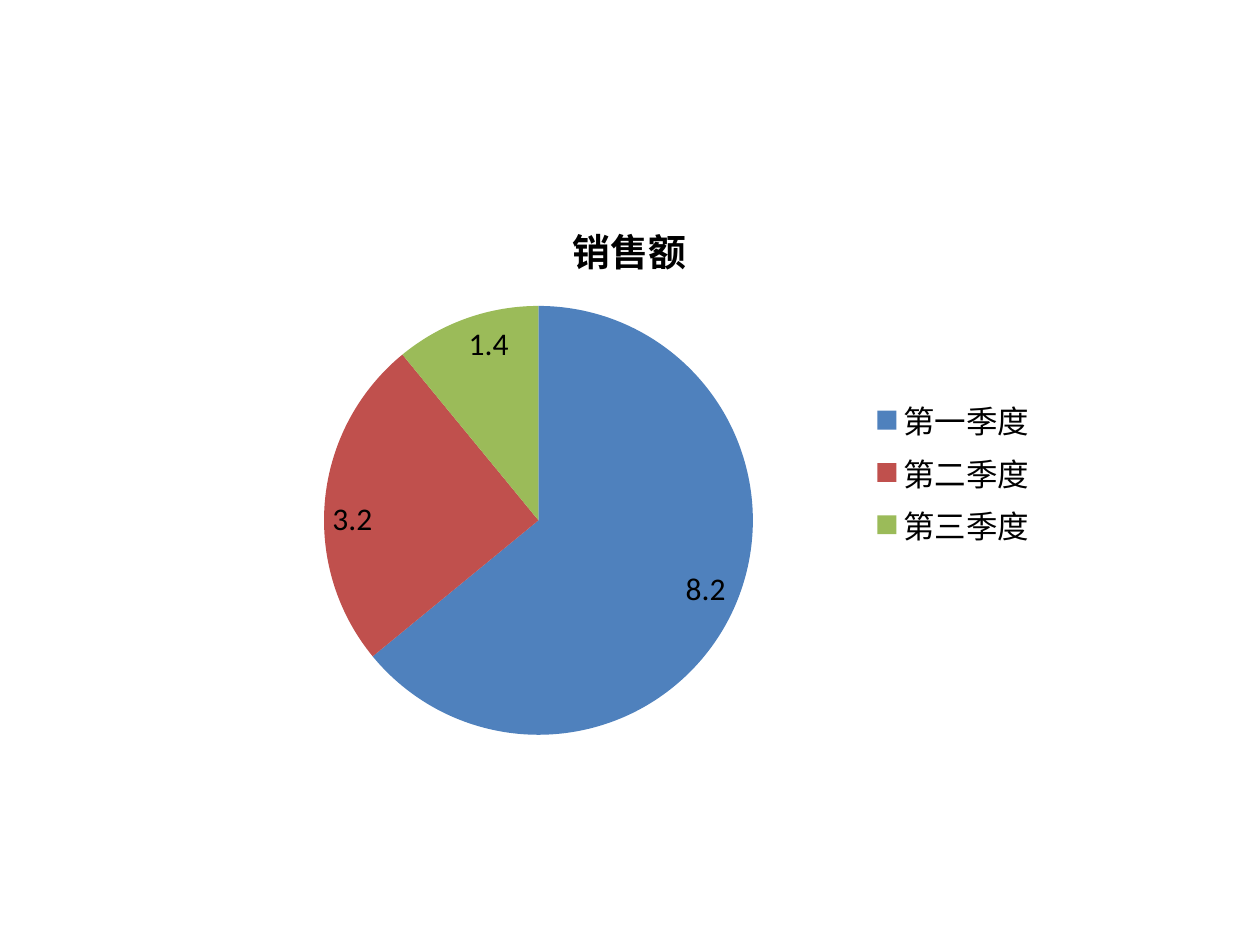
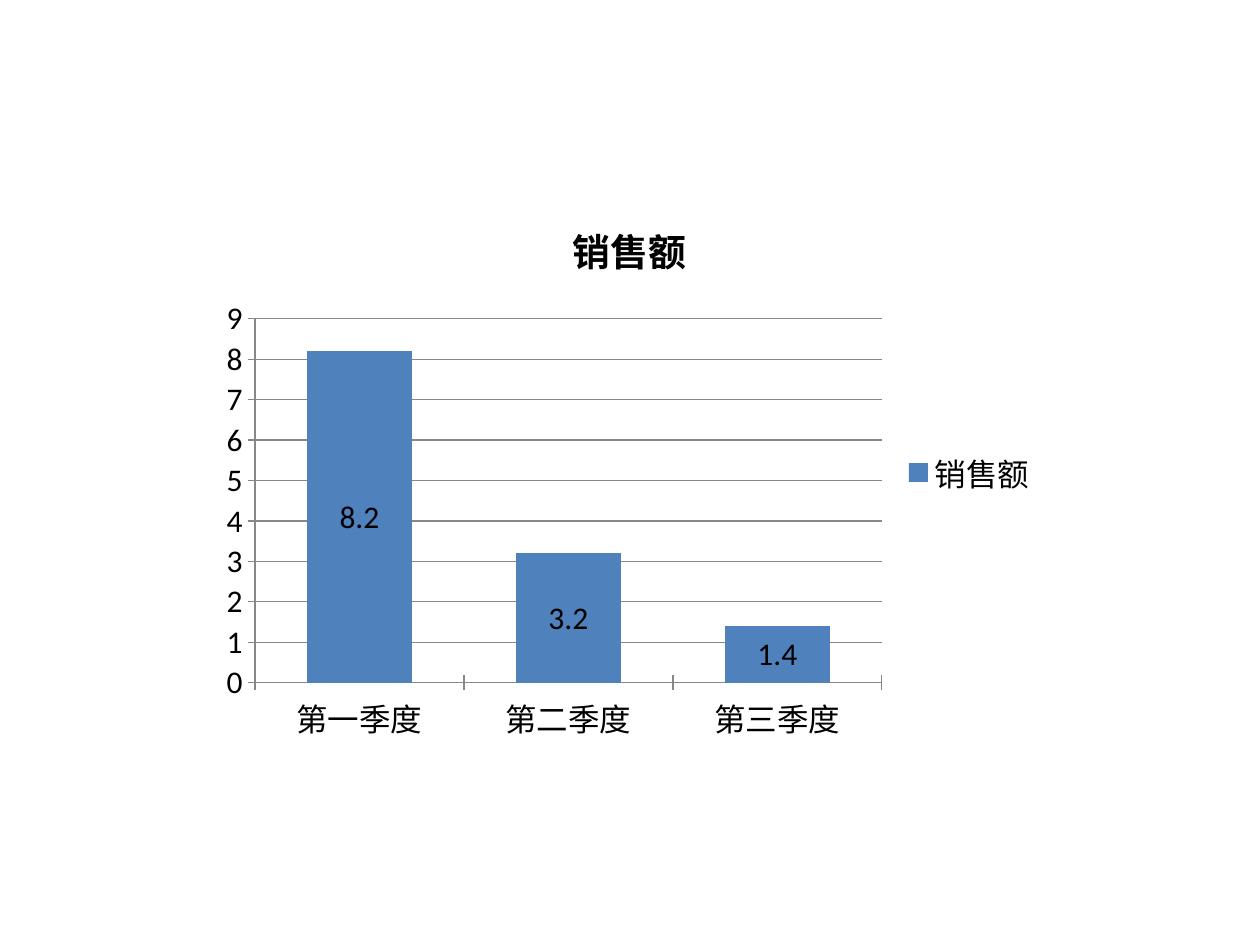
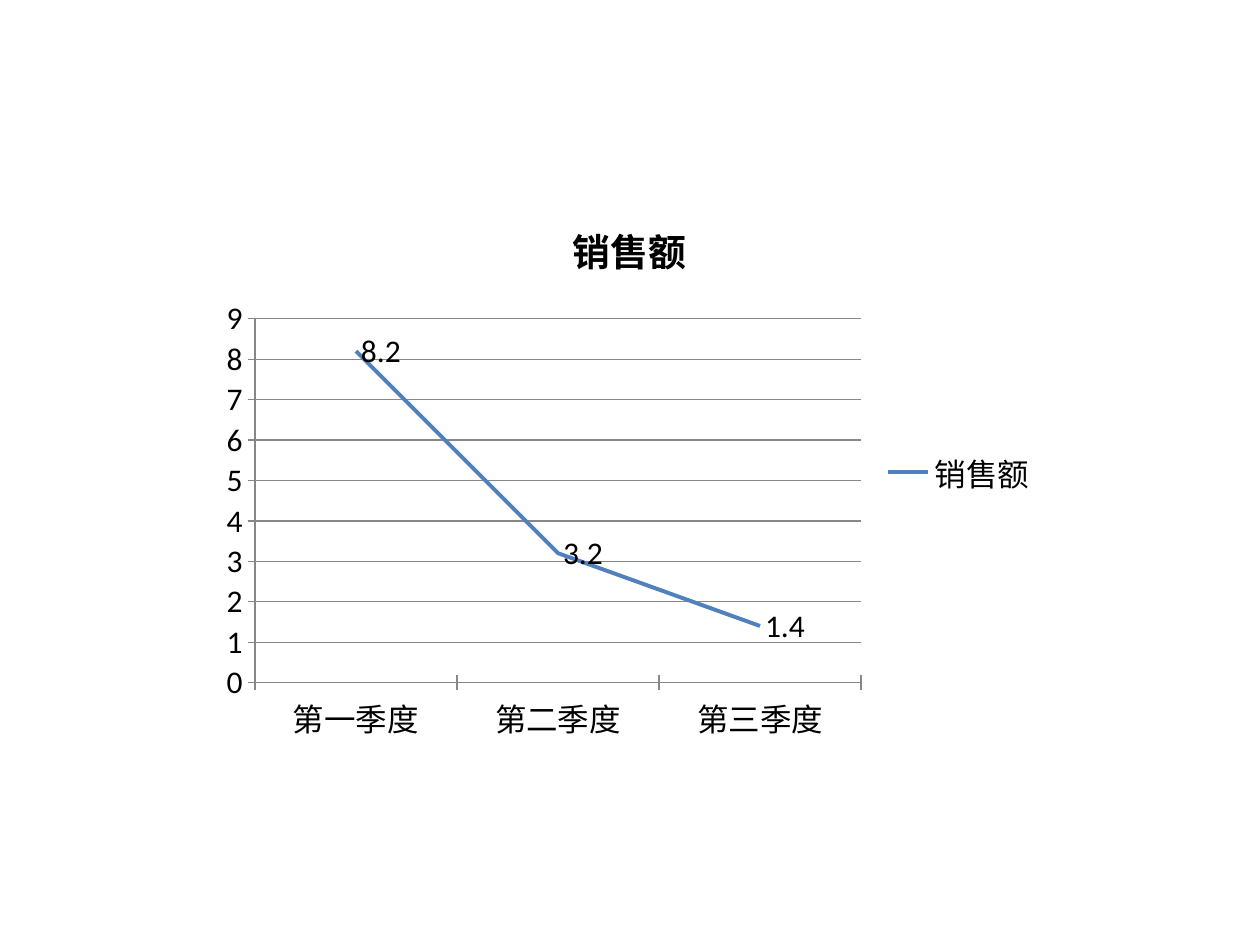
import pptx
import pptx.chart.data
import pptx.dml.color
import pptx.enum.chart
import pptx.util

Inches, Pt = pptx.util.Inches, pptx.util.Pt
ChartType = pptx.enum.chart.XL_CHART_TYPE
LabelPosition = pptx.enum.chart.XL_LABEL_POSITION

MEASURE = "销售额"
SALES = {"第一季度": 8.2, "第二季度": 3.2, "第三季度": 1.4}
VIEWS = [
    (ChartType.PIE, LabelPosition.INSIDE_END),
    (ChartType.COLUMN_STACKED, LabelPosition.CENTER),
    (ChartType.LINE, LabelPosition.RIGHT),
]

COLORS = {"text": "000000", "grid": "878787", "blue": "4F81BD", "red": "C0504D", "green": "9BBB59"}
QUARTER_COLORS = ["blue", "red", "green"]
FONT = "Calibri"
SLIDE_WIDTH, SLIDE_HEIGHT = 10, 7.5
CHART_WIDTH, CHART_HEIGHT = 6.67, 4.44


def rgb(name):
    return pptx.dml.color.RGBColor.from_string(COLORS[name])


def set_font(font, size, bold=False):
    font.name = FONT
    font.size = Pt(size)
    font.bold = bold
    font.color.rgb = rgb("text")


def fill(part, color):
    part.format.fill.solid()
    part.format.fill.fore_color.rgb = rgb(color)


def style_axes(chart):
    for axis in (chart.category_axis, chart.value_axis):
        axis.major_tick_mark = pptx.enum.chart.XL_TICK_MARK.CROSS
        axis.format.line.color.rgb = rgb("grid")
        axis.format.line.width = Pt(0.75)
    chart.value_axis.has_major_gridlines = True
    gridline = chart.value_axis.major_gridlines.format.line
    gridline.color.rgb = rgb("grid")
    gridline.width = Pt(0.75)


def add_sales_chart(slide, chart_type, label_position):
    sales_data = pptx.chart.data.CategoryChartData()
    sales_data.categories = list(SALES)
    sales_data.add_series(MEASURE, list(SALES.values()))
    chart = slide.shapes.add_chart(
        chart_type,
        Inches((SLIDE_WIDTH - CHART_WIDTH) / 2),
        Inches((SLIDE_HEIGHT - CHART_HEIGHT) / 2),
        Inches(CHART_WIDTH),
        Inches(CHART_HEIGHT),
        sales_data,
    ).chart
    set_font(chart.font, 18)

    chart.has_title = True
    heading = chart.chart_title.text_frame
    heading.text = MEASURE
    set_font(heading.paragraphs[0].font, 21.6, bold=True)

    chart.has_legend = True
    chart.legend.position = pptx.enum.chart.XL_LEGEND_POSITION.RIGHT
    chart.legend.include_in_layout = False

    plot = chart.plots[0]
    sales = plot.series[0]
    labels = sales.data_labels
    labels.show_value = True
    labels.position = label_position
    set_font(labels.font, 18)

    if chart_type == ChartType.PIE:
        plot.vary_by_categories = True
        for index, color in enumerate(QUARTER_COLORS):
            fill(sales.points[index], color)
        return

    plot.vary_by_categories = False
    style_axes(chart)
    if chart_type == ChartType.LINE:
        sales.smooth = False
        sales.format.line.color.rgb = rgb("blue")
        sales.format.line.width = Pt(2.25)
    else:
        plot.gap_width = 100
        plot.overlap = 100
        fill(sales, "blue")


def main():
    deck = pptx.Presentation()
    deck.slide_width = Inches(SLIDE_WIDTH)
    deck.slide_height = Inches(SLIDE_HEIGHT)
    for chart_type, label_position in VIEWS:
        slide = deck.slides.add_slide(deck.slide_layouts[6])
        add_sales_chart(slide, chart_type, label_position)
    deck.save("out.pptx")


if __name__ == "__main__":
    main()
